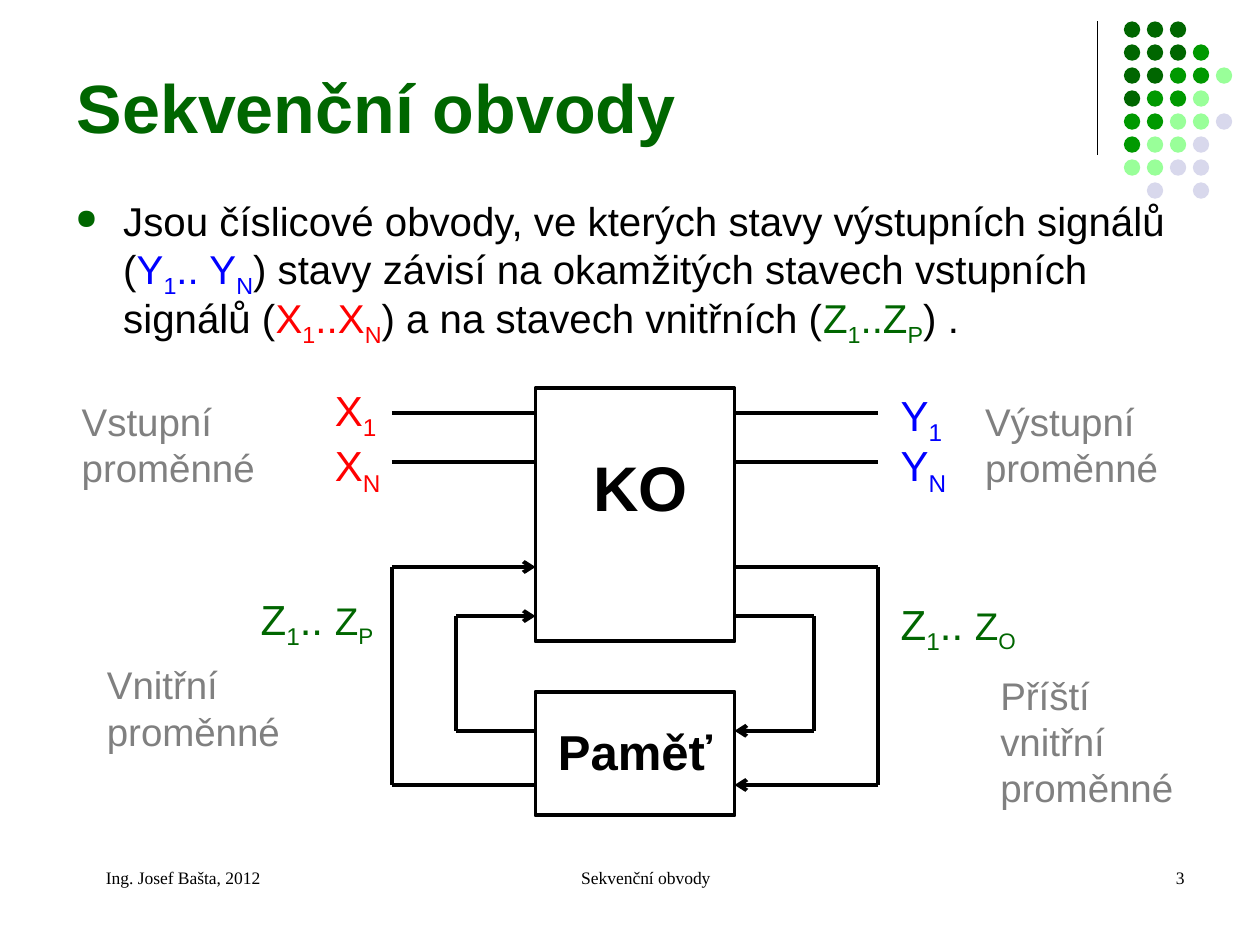
from typing import NamedTuple

import pptx
import pptx.dml.color
import pptx.enum.shapes
import pptx.enum.text
import pptx.oxml.ns
import pptx.util
from lxml import etree
from pptx.util import Inches

BLACK, GREEN, RED, BLUE, GRAY = "000000", "006600", "FF0000", "0000FF", "808080"
ALIGN = pptx.enum.text.PP_ALIGN
ANCHOR = pptx.enum.text.MSO_ANCHOR
SHAPE = pptx.enum.shapes.MSO_SHAPE
qn = pptx.oxml.ns.qn


class Run(NamedTuple):
    text: str
    size: float
    color: str = BLACK
    bold: bool = False
    sub: bool = False
    font: str = "Arial"


class Caption(NamedTuple):
    left: float
    top: float
    width: float
    height: float
    runs: list
    align: int = ALIGN.LEFT
    insets: tuple = (0.1, 0.05, 0.1, 0.05)


class Wire(NamedTuple):
    start: tuple
    end: tuple
    arrow: bool = False


def rgb(value: str):
    return pptx.dml.color.RGBColor.from_string(value)


def indexed(pairs: list, size: float, color: str) -> list:
    """Runs for (symbol, subscript) pairs."""
    runs = []
    for symbol, index in pairs:
        runs += [Run(symbol, size, color), Run(index, size, color, sub=True)]
    return runs


def add_caption(slide, caption: Caption):
    box = slide.shapes.add_textbox(Inches(caption.left), Inches(caption.top),
                                   Inches(caption.width), Inches(caption.height))
    frame = box.text_frame
    frame.word_wrap = True
    (frame.margin_left, frame.margin_top,
     frame.margin_right, frame.margin_bottom) = map(Inches, caption.insets)
    paragraph = frame.paragraphs[0]
    paragraph.alignment = caption.align
    for part in caption.runs:
        run = paragraph.add_run()
        run.text = part.text
        run.font.name = part.font
        run.font.size = pptx.util.Pt(part.size)
        run.font.bold = part.bold
        run.font.color.rgb = rgb(part.color)
        if part.sub:
            run._r.get_or_add_rPr().set("baseline", "-25000")
    return frame


def add_bullet(paragraph, color: str, percent: int, indent: float) -> None:
    properties = paragraph._p.get_or_add_pPr()
    properties.set("marL", str(Inches(indent)))
    properties.set("indent", str(-Inches(indent)))
    bullet_color = etree.SubElement(properties, qn("a:buClr"))
    etree.SubElement(bullet_color, qn("a:srgbClr"), val=color)
    etree.SubElement(properties, qn("a:buSzPct"), val=str(percent * 1000))
    etree.SubElement(properties, qn("a:buChar"), char="●")


def add_wire(slide, wire: Wire, weight: float = 2.25) -> None:
    line = slide.shapes.add_connector(pptx.enum.shapes.MSO_CONNECTOR.STRAIGHT,
                                      *map(Inches, wire.start + wire.end))
    line.line.color.rgb = rgb(BLACK)
    line.line.width = pptx.util.Pt(weight)
    if wire.arrow:
        etree.SubElement(line.line._get_or_add_ln(), qn("a:tailEnd"), type="arrow")
    etree.SubElement(line._element.spPr, qn("a:effectLst"))


def add_block(slide, top: float, height: float) -> None:
    block = slide.shapes.add_shape(SHAPE.RECTANGLE, Inches(BLOCK_LEFT), Inches(top),
                                   Inches(BLOCK_RIGHT - BLOCK_LEFT), Inches(height))
    block.shadow.inherit = False
    block.fill.background()
    block.line.color.rgb = rgb(BLACK)
    block.line.width = pptx.util.Pt(2.25)


def add_dot(slide, left: float, top: float, color: str) -> None:
    dot = slide.shapes.add_shape(SHAPE.OVAL, Inches(left), Inches(top),
                                 Inches(0.13), Inches(0.13))
    dot.shadow.inherit = False
    dot.fill.solid()
    dot.fill.fore_color.rgb = rgb(color)
    dot.line.fill.background()


presentation = pptx.Presentation()
presentation.slide_width, presentation.slide_height = Inches(10), Inches(7.5)
slide = presentation.slides.add_slide(presentation.slide_layouts[6])

# Corner decoration: one letter per dot, from dark to pale
add_wire(slide, Wire((8.71, 0.17), (8.71, 1.23)), 0.75)
DOT_COLORS = {"d": GREEN, "m": "009900", "l": "99FF99", "p": "D8D8EC"}
DOT_ROWS = ["ddd", "dddm", "ddmml", "dmml", "mmllp", "mllp", "llpp", " p p"]
DOT_PITCH = 0.73 / 4
for row, letters in enumerate(DOT_ROWS):
    for column, letter in enumerate(letters):
        if letter in DOT_COLORS:
            add_dot(slide, 8.92 + column * DOT_PITCH, 0.17 + row * DOT_PITCH,
                    DOT_COLORS[letter])

# Title and definition
title = add_caption(slide, Caption(0.51, 0.36, 8.25, 0.86,
                                   [Run("Sekvenční obvody", 39, GREEN, bold=True)]))
title.vertical_anchor = ANCHOR.BOTTOM
definition = add_caption(slide, Caption(0.5, 1.55, 9.26, 1.3, [
    Run("Jsou číslicové obvody, ve kterých stavy výstupních signálů (", 23),
    *indexed([("Y", "1"), (".. Y", "N")], 23, BLUE),
    Run(") stavy závisí na okamžitých stavech vstupních signálů (", 23),
    *indexed([("X", "1"), ("..X", "N")], 23, RED),
    Run(") a na stavech vnitřních (", 23),
    *indexed([("Z", "1"), ("..Z", "P")], 23, GREEN),
    Run(") .", 23),
]))
add_bullet(definition.paragraphs[0], GREEN, 70, 0.38)
definition.paragraphs[0].line_spacing = 0.9

# Blocks: combinational circuit and memory
BLOCK_LEFT, BLOCK_RIGHT = 4.25, 5.83
add_block(slide, 3.08, 2.01)
add_block(slide, 5.49, 0.98)

# Inputs and outputs
OUTER_LEFT, OUTER_RIGHT = 3.11, 6.97
INNER_LEFT, INNER_RIGHT = 3.62, 6.46
for y in (3.28, 3.67):
    add_wire(slide, Wire((OUTER_LEFT, y), (BLOCK_LEFT, y)))
    add_wire(slide, Wire((BLOCK_RIGHT, y), (OUTER_RIGHT, y)))

# Feedback loops: out of the circuit, through memory, back in
for left, right, upper, lower in ((OUTER_LEFT, OUTER_RIGHT, 4.5, 6.23),
                                  (INNER_LEFT, INNER_RIGHT, 4.89, 5.8)):
    for wire in (
        Wire((BLOCK_RIGHT, upper), (right, upper)),
        Wire((right, upper), (right, lower)),
        Wire((right, lower), (BLOCK_RIGHT, lower), arrow=True),
        Wire((BLOCK_LEFT, lower), (left, lower)),
        Wire((left, lower), (left, upper)),
        Wire((left, upper), (BLOCK_LEFT, upper), arrow=True),
    ):
        add_wire(slide, wire)

# Block names
add_caption(slide, Caption(4.61, 3.51, 1.02, 0.7, [Run("KO", 36, bold=True)]))
add_caption(slide, Caption(4.33, 5.68, 1.57, 0.57, [Run("Paměť", 28, bold=True)]))

# Signal names
for left, top, symbol, index, color in ((2.56, 3, "X", "1", RED), (2.56, 3.44, "X", "N", RED),
                                        (7.05, 3.04, "Y", "1", BLUE), (7.05, 3.44, "Y", "N", BLUE)):
    add_caption(slide, Caption(left, top, 0.59, 0.56, indexed([(symbol, index)], 24, color)))
for left, top, last in ((1.97, 4.66, "P"), (7.05, 4.7, "O")):
    add_caption(slide, Caption(left, top, 1.18, 0.56, [
        *indexed([("Z", "1")], 24, GREEN), Run(".. ", 24, GREEN),
        *indexed([("Z", last)], 22, GREEN)]))

# Variable descriptions
for left, top, height, words in ((0.55, 3.12, 0.82, "Vstupní proměnné"),
                                 (7.72, 3.12, 0.82, "Výstupní proměnné"),
                                 (0.75, 5.21, 0.82, "Vnitřní proměnné"),
                                 (7.84, 5.29, 1.19, "Příští vnitřní proměnné")):
    add_caption(slide, Caption(left, top, 1.69, height, [Run(words, 22, GRAY)],
                               insets=(0.1, 0.04, 0, 0.05)))

# Footer
for left, width, words, align in ((0.5, 2.33, "Ing. Josef Bašta, 2012", ALIGN.LEFT),
                                  (3.42, 3.17, "Sekvenční obvody", ALIGN.CENTER),
                                  (7.17, 2.33, "3", ALIGN.RIGHT)):
    add_caption(slide, Caption(left, 6.83, width, 0.5,
                               [Run(words, 10, font="Times New Roman")], align,
                               insets=(0.34, 0.05, 0.1, 0.05)))

presentation.save("out.pptx")
